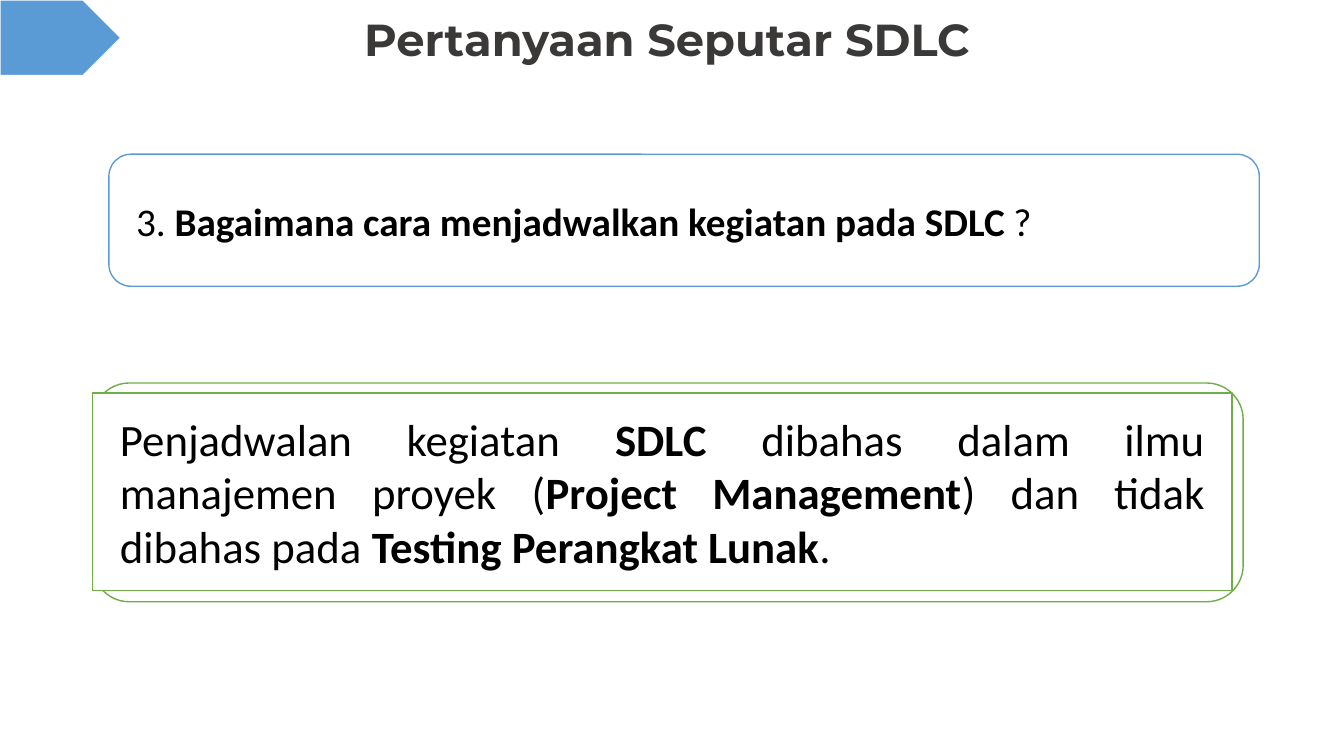
from pptx import Presentation
from pptx.dml.color import RGBColor
from pptx.enum.shapes import MSO_SHAPE
from pptx.enum.text import MSO_ANCHOR, PP_ALIGN
from pptx.util import Inches, Pt

PENTAGON, ROUNDED, RECT = MSO_SHAPE.PENTAGON, MSO_SHAPE.ROUNDED_RECTANGLE, MSO_SHAPE.RECTANGLE
MIDDLE = MSO_ANCHOR.MIDDLE
CENTER, JUSTIFY = PP_ALIGN.CENTER, PP_ALIGN.JUSTIFY

WHITE = RGBColor(0xFF, 0xFF, 0xFF)
BLACK = RGBColor(0, 0, 0)
GRAY = RGBColor(0x3B, 0x38, 0x38)
BLUE = RGBColor(0x5B, 0x9B, 0xD5)
GREEN = RGBColor(0x70, 0xAD, 0x47)

TITLE = "Pertanyaan Seputar SDLC"
QUESTION = [
    ("3. ", False),
    ("Bagaimana cara menjadwalkan kegiatan pada SDLC ", True),
    ("?", False),
]
ANSWER = [
    ("Penjadwalan kegiatan ", False),
    ("SDLC ", True),
    ("dibahas dalam ilmu manajemen proyek (", False),
    ("Project Management", True),
    (") dan tidak dibahas pada ", False),
    ("Testing Perangkat Lunak", True),
    (".", False),
]
CARD_W, TEXT_W, PADDING = 11.41, 11.3, 0.27


def add_box(slide, kind, box, fill, line):
    sp = slide.shapes.add_shape(kind, *map(Inches, box))
    sp.shadow.inherit = False
    sp.fill.solid()
    sp.fill.fore_color.rgb = fill
    sp.line.color.rgb = line
    sp.line.width = Pt(1)
    return sp


def style_run(r, font, size, color, bold):
    r.font.name = font
    r.font.size = Pt(size)
    r.font.color.rgb = color
    r.font.bold = bold


def write_body(sp, pieces, size):
    tf = sp.text_frame
    tf.word_wrap = True
    tf.vertical_anchor = MIDDLE
    tf.margin_left = tf.margin_right = tf.margin_top = tf.margin_bottom = Inches(PADDING)
    p = tf.paragraphs[0]
    p.alignment = JUSTIFY
    for text, bold in pieces:
        r = p.add_run()
        r.text = text
        style_run(r, "Calibri", size, BLACK, bold)


def main():
    prs = Presentation()
    prs.slide_width, prs.slide_height = Inches(13.33), Inches(7.5)
    slide = prs.slides.add_slide(prs.slide_layouts[5])

    title = slide.shapes.title
    title.left, title.top, title.width, title.height = map(Inches, (1.38, 0.04, 10.48, 0.75))
    title.text_frame.text = TITLE
    title.text_frame.vertical_anchor = MIDDLE
    p = title.text_frame.paragraphs[0]
    p.alignment = CENTER
    p.line_spacing = 0.9
    style_run(p.runs[0], "Montserrat", 32, GRAY, True)

    add_box(slide, PENTAGON, (0, 0, 1.2, 0.75), BLUE, WHITE)

    add_box(slide, ROUNDED, (1.08, 1.53, CARD_W, 1.31), WHITE, BLUE)
    question = slide.shapes.add_textbox(*map(Inches, (1.08, 1.6, TEXT_W, 1.19)))
    write_body(question, QUESTION, 28)

    add_box(slide, ROUNDED, (0.92, 3.8, CARD_W, 2.17), WHITE, GREEN)
    answer = add_box(slide, RECT, (0.92, 3.9, TEXT_W, 1.96), WHITE, GREEN)
    write_body(answer, ANSWER, 32)

    prs.save("out.pptx")


if __name__ == "__main__":
    main()
